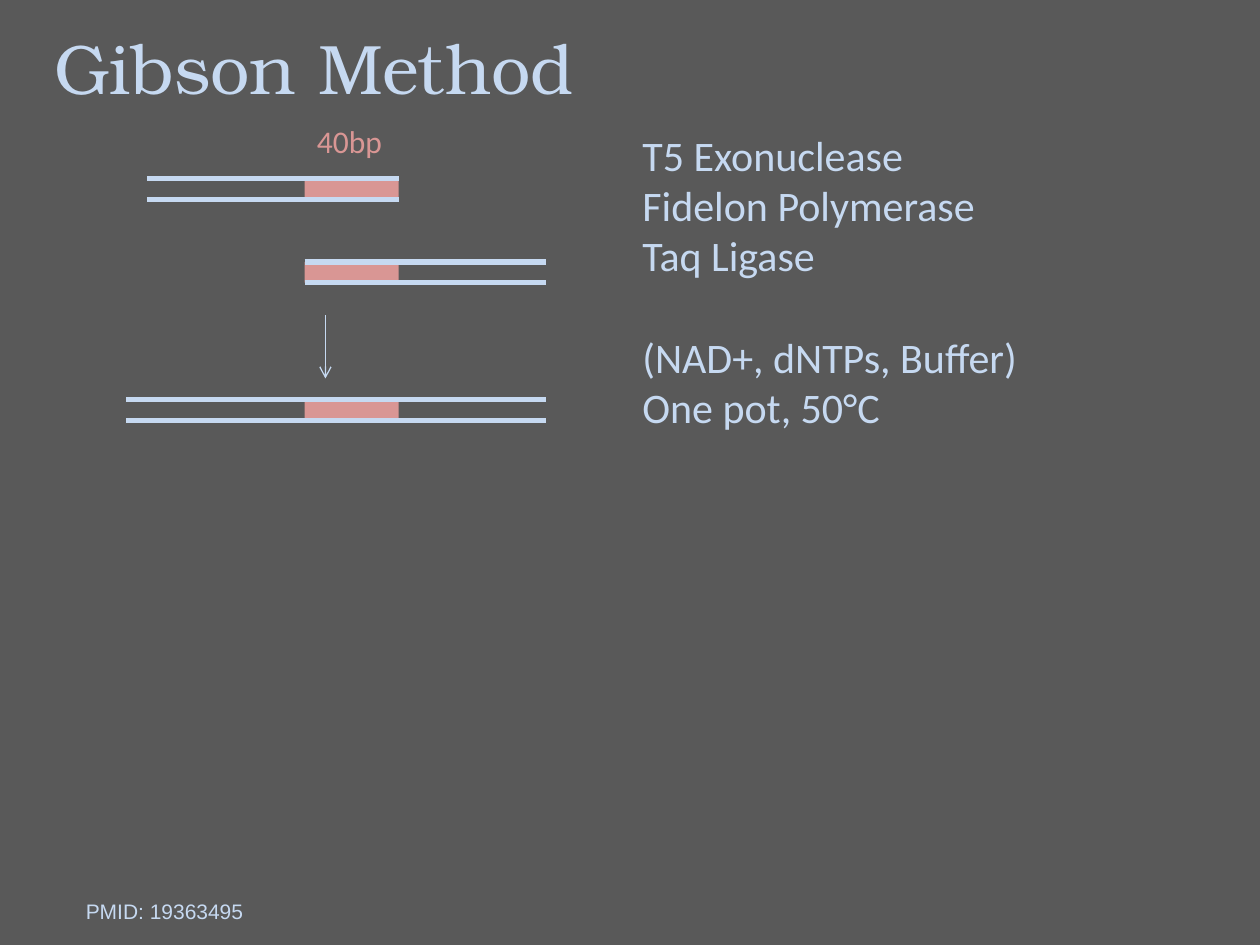
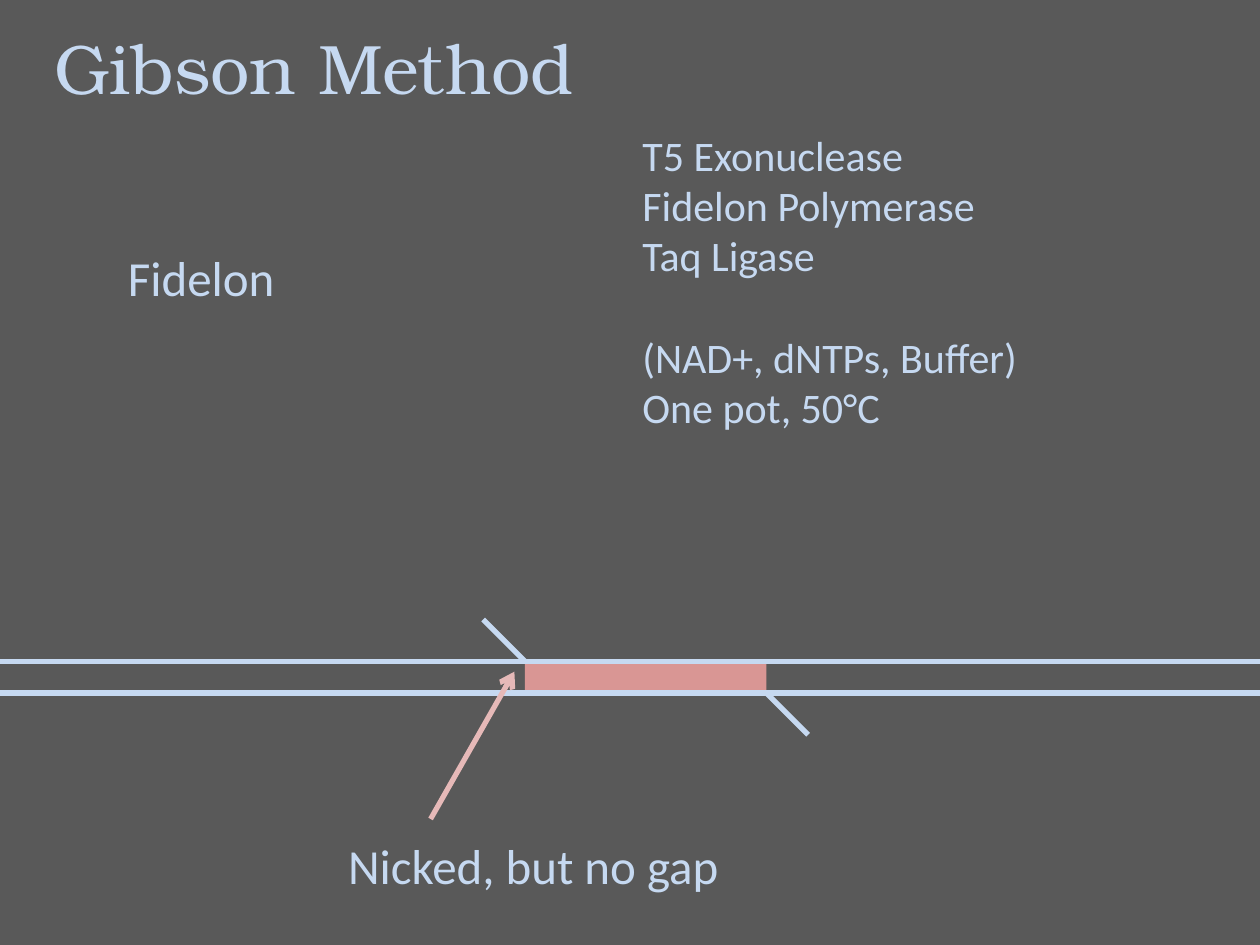
from lxml import etree
from pptx import Presentation
from pptx.dml.color import RGBColor
from pptx.enum.shapes import MSO_CONNECTOR, MSO_SHAPE
from pptx.oxml.ns import qn
from pptx.util import Cm, Pt

STRAIGHT = MSO_CONNECTOR.STRAIGHT
RECTANGLE = MSO_SHAPE.RECTANGLE

GREY = RGBColor(0x59, 0x59, 0x59)
PALE_BLUE = RGBColor(0xC6, 0xD9, 0xF1)
ROSE = RGBColor(0xD9, 0x96, 0x94)
LIGHT_ROSE = RGBColor(0xE6, 0xB9, 0xB8)

TITLE_FONT = "TeX Gyre Bonum"
BODY_FONT = "Calibri"
FOOTER_FONT = "Arial"

SLIDE_WIDTH, SLIDE_HEIGHT = 25.4, 19.05
TITLE_BOX = (0.84, 0.36, 23.93, 1.96)
REAGENT_BOX = (12.7, 2.48, 12.7, 6.4)
FOOTER_BOX = (1.48, 17.98, 7.82, 0.76)

REAGENTS = ["T5 Exonuclease", "Fidelon Polymerase", "Taq Ligase"]
CONDITIONS = ["(NAD+, dNTPs, Buffer)", "One pot, 50°C"]


def add_text(slide, box, lines, size, font=BODY_FONT, color=PALE_BLUE, wrap=True):
    """Add a text box with one paragraph per line and return its paragraphs."""
    frame = slide.shapes.add_textbox(*map(Cm, box)).text_frame
    frame.word_wrap = wrap
    frame.text = "\n".join(lines)
    for paragraph in frame.paragraphs:
        paragraph.font.name = font
        paragraph.font.size = Pt(size)
        paragraph.font.color.rgb = color
    return frame.paragraphs


def add_line(slide, start, end, color=PALE_BLUE, width=3, arrow=False):
    """Draw a straight line, with an open arrowhead at its end if asked."""
    line = slide.shapes.add_connector(STRAIGHT, *map(Cm, (*start, *end)))
    line.line.color.rgb = color
    line.line.width = Pt(width)
    if arrow:
        etree.SubElement(line.line._get_or_add_ln(), qn("a:tailEnd"), type="arrow")
    etree.SubElement(line._element.spPr, qn("a:effectLst"))


def add_duplex(slide, box, overlap_left, overlap_width):
    """Draw two DNA strands along a box, with the overlap filled between them."""
    left, top, width, height = box
    overlap = slide.shapes.add_shape(
        RECTANGLE, *map(Cm, (left + overlap_left, top, overlap_width, height)))
    overlap.fill.solid()
    overlap.fill.fore_color.rgb = ROSE
    overlap.line.fill.background()
    overlap.shadow.inherit = False
    for strand_top in (top, top + height):
        add_line(slide, (left, strand_top), (left + width, strand_top))


def add_assembly(slide, box):
    """Show two fragments with a shared end joining into one molecule."""
    left, top, width, _ = box
    overlap_left, overlap_width, strand_gap = 3.6, 1.9, 0.42
    fragments = [
        (0.42, 1.26, overlap_left + overlap_width - 0.42),
        (overlap_left, 2.94, width - overlap_left),
        (0, 5.72, width),
    ]
    for start, offset, length in fragments:
        add_duplex(slide, (left + start, top + offset, length, strand_gap),
                   overlap_left - start, overlap_width)
    arrow_left = left + 4.02
    add_line(slide, (arrow_left, top + 4.02), (arrow_left, top + 5.29),
             width=0.75, arrow=True)
    add_text(slide, (left + overlap_left, top, 1.83, 1.02), ["40bp"], 18,
             color=ROSE, wrap=False)


def add_nicked_duplex(slide, box):
    """Show the annealed molecule with its two flaps and point at the nick."""
    left, top, width, height = box
    nick_left, overlap_width, flap = 10.58, 4.87, 0.84
    add_duplex(slide, box, nick_left, overlap_width)
    upper_nick = (left + nick_left, top)
    lower_nick = (upper_nick[0] + overlap_width, top + height)
    for (x, y), step in ((upper_nick, -flap), (lower_nick, flap)):
        add_line(slide, (x, y), (x + step, y + step))
    add_line(slide, (left + 8.68, top + 3.18), (left + 10.37, top + 0.21),
             color=LIGHT_ROSE, arrow=True)
    add_text(slide, (left + 6.77, top + 3.38, 8.08, 1.45),
             ["Nicked, but no gap"], 28, wrap=False)


def add_method_slide(presentation):
    """Add a slide with the shared background, title and reagent list."""
    slide = presentation.slides.add_slide(presentation.slide_layouts[6])
    slide.background.fill.solid()
    slide.background.fill.fore_color.rgb = GREY
    add_text(slide, TITLE_BOX, ["Gibson Method"], 40, TITLE_FONT)
    paragraphs = add_text(slide, REAGENT_BOX, REAGENTS + CONDITIONS, 24)
    paragraphs[len(REAGENTS)].space_before = Pt(29)
    return slide


def main():
    """Build both slides and save the presentation."""
    presentation = Presentation()
    presentation.slide_width = Cm(SLIDE_WIDTH)
    presentation.slide_height = Cm(SLIDE_HEIGHT)

    overview = add_method_slide(presentation)
    add_assembly(overview, (2.54, 2.34, 8.46, 6.14))
    add_text(overview, FOOTER_BOX, ["PMID: 19363495"], 12, FOOTER_FONT)

    polymerase_step = add_method_slide(presentation)
    add_text(polymerase_step, (2.33, 4.87, 3.76, 1.45), ["Fidelon"], 28, wrap=False)
    add_nicked_duplex(polymerase_step, (0, 13.33, SLIDE_WIDTH, 0.64))

    presentation.save("out.pptx")


if __name__ == "__main__":
    main()
